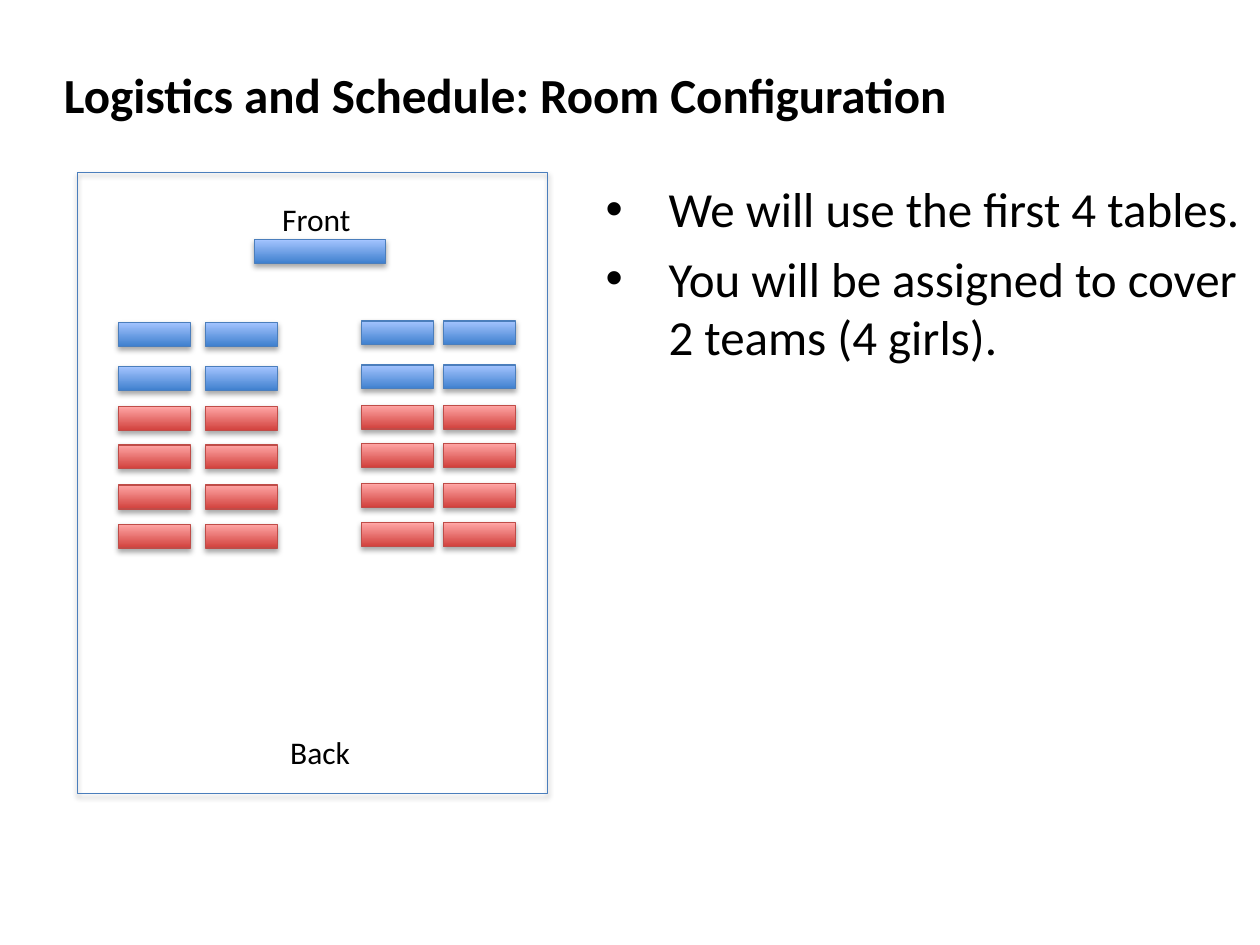
from dataclasses import dataclass

from lxml.etree import SubElement
from pptx import Presentation
from pptx.dml.color import RGBColor as Color
from pptx.enum.shapes import MSO_SHAPE as Preset
from pptx.enum.text import MSO_AUTO_SIZE as AutoSize
from pptx.oxml.ns import qn
from pptx.util import Cm, Pt


@dataclass(frozen=True)
class Theme:
    font: str = "Calibri"
    heading_size: int = 28
    label_size: int = 18
    text: str = "000000"
    # Each table palette is line, bottom of gradient, top of gradient
    used: tuple = ("4B7EBC", "3F80CE", "A4C4FF")
    unused: tuple = ("BF4C48", "D1403C", "FFA6A5")


theme = Theme()
deck = Presentation()
deck.slide_width, deck.slide_height = Cm(25.4), Cm(19.05)
page = deck.slides.add_slide(deck.slide_layouts[6])


def add_text(lines, left, top, width, height, size, bold=False, wrap=True):
    box = page.shapes.add_textbox(Cm(left), Cm(top), Cm(width), Cm(height))
    frame = box.text_frame
    frame.word_wrap = wrap
    frame.auto_size = AutoSize.NONE if wrap else AutoSize.SHAPE_TO_FIT_TEXT
    frame.text = "\n".join(lines)
    for para in frame.paragraphs:
        para.font.name = theme.font
        para.font.size = Pt(size)
        para.font.bold = bold
        para.font.color.rgb = Color.from_string(theme.text)
    return frame


def add_block(left, top, width, height, palette, filled=True):
    """Add a softly shadowed rectangle, with a vertical gradient if filled."""
    block = page.shapes.add_shape(
        Preset.RECTANGLE, Cm(left), Cm(top), Cm(width), Cm(height))
    line, *stops = palette
    block.line.color.rgb = Color.from_string(line)
    block.line.width = Pt(0.75)
    if filled:
        block.fill.gradient()
        block.fill.gradient_angle = 90
        for stop, colour, position in zip(block.fill.gradient_stops, stops, (0, 1)):
            stop.color.rgb = Color.from_string(colour)
            stop.position = position
    else:
        block.fill.background()

    block.shadow.inherit = False
    effects = block._element.spPr.find(qn("a:effectLst"))
    shadow = SubElement(effects, qn("a:outerShdw"), blurRad=str(Pt(3.1)),
                        dist=str(Pt(1.8)), dir="5400000", rotWithShape="0")
    tint = SubElement(shadow, qn("a:srgbClr"), val="000000")
    SubElement(tint, qn("a:alpha"), val="35000")


add_text(["Logistics and Schedule: Room Configuration"],
         1.04, 1.17, 23.37, 1.45, theme.heading_size, bold=True)

notes = add_text(
    ["We will use the first 4 tables.",
     "You will be assigned to cover 2 teams (4 girls)."],
    11.96, 3.48, 13.44, 12.52, theme.heading_size)
for para in notes.paragraphs:
    para.space_after = Pt(6)
    properties = para._p.get_or_add_pPr()
    properties.set("marL", str(Cm(1.27)))
    properties.set("indent", str(Cm(-1.27)))
    SubElement(properties, qn("a:buFont"), typeface="Arial")
    SubElement(properties, qn("a:buChar"), char="•")
    # The bullet elements must come before the default run properties
    defaults = properties.find(qn("a:defRPr"))
    if defaults is not None:
        properties.append(defaults)

# Room outline and front desk
add_block(1.57, 3.48, 9.47, 12.52, theme.used, filled=False)
add_block(5.13, 4.83, 2.64, 0.48, theme.used)

# Four columns of tables; the right-hand pair sits slightly higher
columns = [(2.39, 0), (4.14, 0), (7.29, -0.03), (8.94, -0.03)]
row_tops = [6.5, 7.39, 8.2, 8.97, 9.78, 10.57]
used_rows = 2
for row, top in enumerate(row_tops):
    palette = theme.used if row < used_rows else theme.unused
    for left, shift in columns:
        add_block(left, top + shift, 1.45, 0.48, palette)

for label, left, top, width in [("Front", 5.44, 3.91, 1.9), ("Back", 5.6, 14.66, 1.73)]:
    add_text([label], left, top, width, 1.02, theme.label_size, wrap=False)

deck.save("out.pptx")
